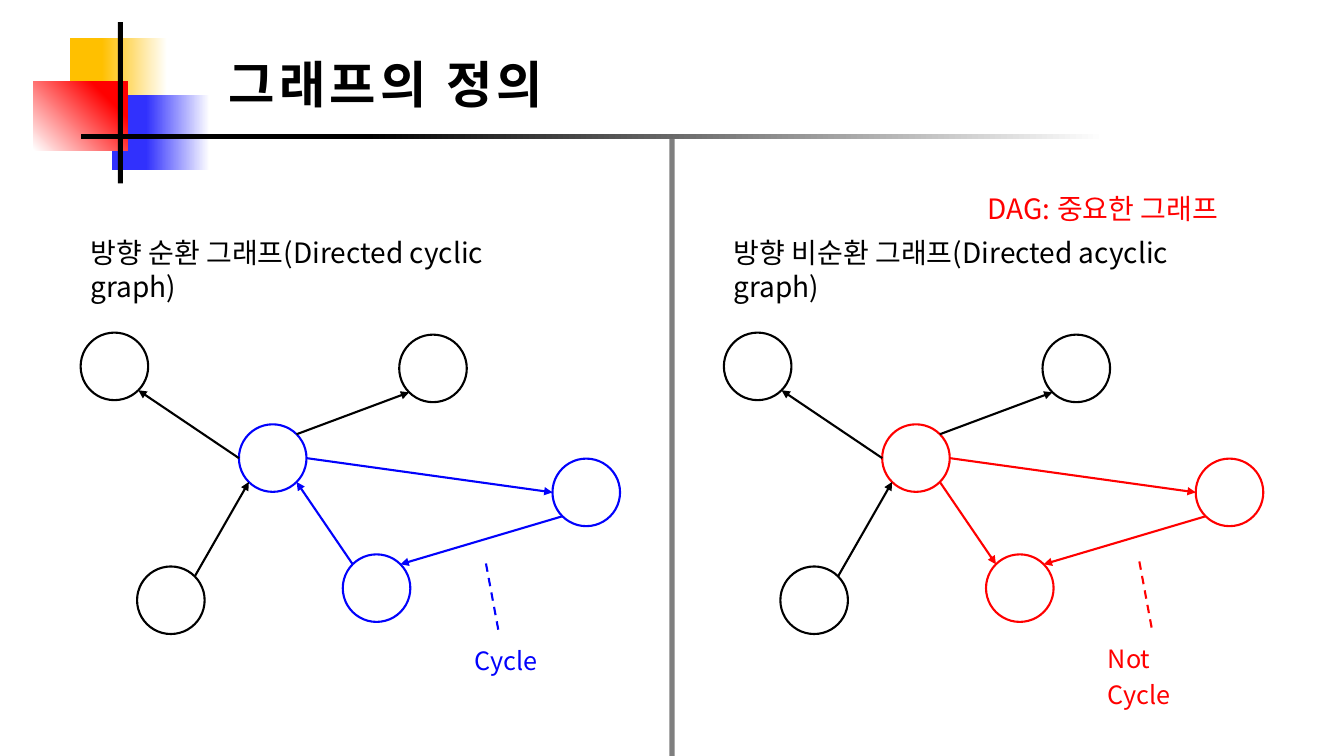
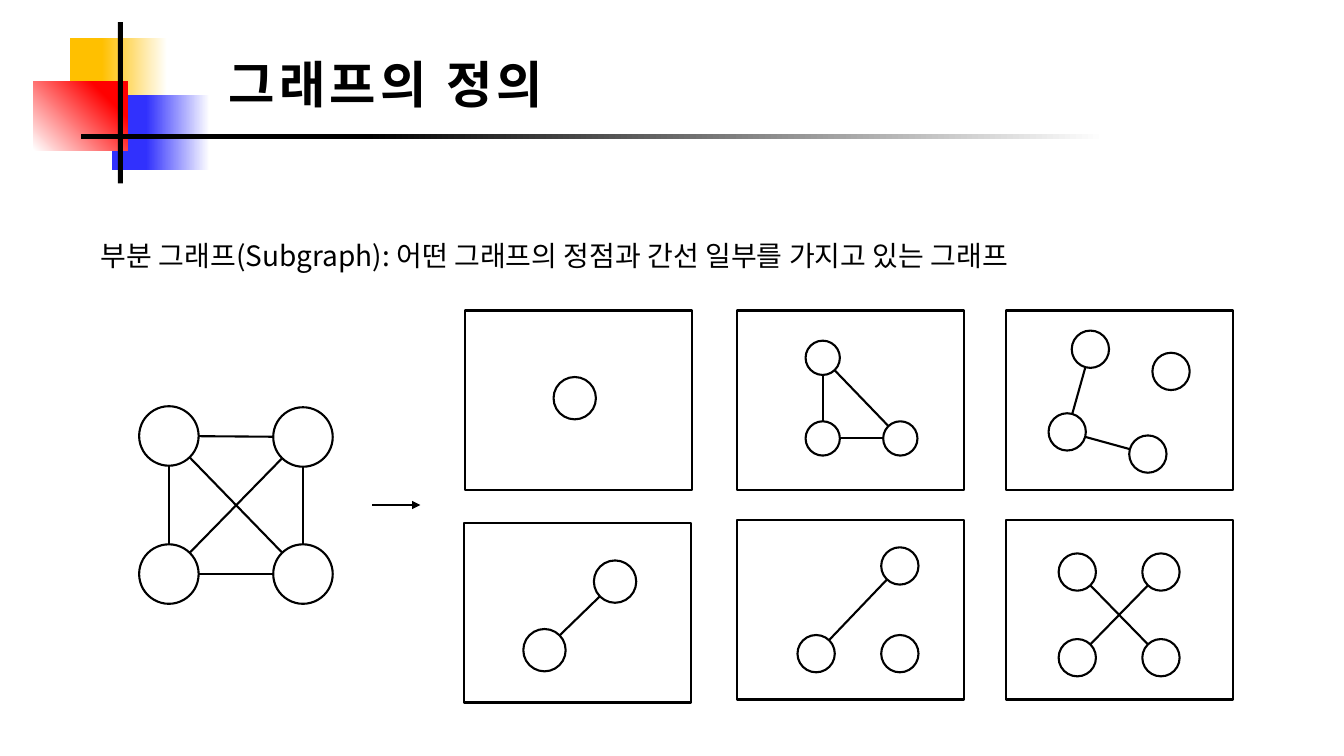
import itertools
import math

import pptx
import pptx.dml.color
import pptx.enum.dml
import pptx.enum.shapes
import pptx.enum.text
import pptx.oxml
import pptx.oxml.ns
import pptx.util

Inches, Pt = pptx.util.Inches, pptx.util.Pt
SHAPE = pptx.enum.shapes.MSO_SHAPE

# Shared style
FONT = "Noto Sans CJK KR"
COLORS = {
    "black": "000000", "white": "FFFFFF", "blue": "0202FC", "red": "FF0000",
    "amber": "FFC000", "indigo": "3131FD",
}
TITLE = "그래프의 정의"
# left, top, width, height, colour, gradient stop in percent, counterclockwise angle
EMBLEM = [
    (0.69, 0.38, 0.97, 0.95, "amber", 67, 180),
    (1.11, 0.94, 0.97, 0.75, "indigo", 65, 180),
    (0.33, 0.81, 0.94, 0.68, "red", 78, 45),
    (1.17, 0.22, 0.05, 1.6, "black", None, None),
    (0.8, 1.33, 10.16, 0.05, "black", 72, 180),
]

# Directed graphs: node offsets, and edges as (start, side, end, side)
DIRECTED_ORIGIN_TOP = 3.3
DIRECTED_DIAMETER = 0.67
DIRECTED_NODES = {
    "north_west": (0, 0), "hub": (1.57, 0.91), "south_west": (0.56, 2.32),
    "south": (2.6, 2.2), "north_east": (3.16, 0.02), "east": (4.68, 1.25),
}
HIGHLIGHTED = {"hub", "south", "east"}
COMMON_EDGES = [
    ("hub", "W", "north_west", "SE"),
    ("south_west", "NE", "hub", "SW"),
    ("hub", "NE", "north_east", "SW"),
    ("hub", "E", "east", "W"),
    ("east", "SW", "south", "NE"),
]
SIDES = {"E": 0, "SE": 45, "SW": 135, "W": 180, "NW": 225, "NE": 315}
DIRECTED_GRAPHS = [
    {"left": 0.8, "heading": "방향 순환 그래프(Directed cyclic graph)", "width": 4.92,
     "color": "blue", "edge": ("south", "NW", "hub", "SE"),
     "pointer": (4.82, 5.59), "label": "Cycle", "label_at": (4.61, 6.29, 0.86)},
    {"left": 7.18, "heading": "방향 비순환 그래프(Directed acyclic graph)", "width": 5.35,
     "color": "red", "edge": ("hub", "SE", "south", "NW"),
     "pointer": (11.3, 5.57), "label": "Not Cycle", "label_at": (10.89, 6.27, 1.17)},
]
DAG_NOTE = "DAG: 중요한 그래프"

# Subgraphs: panel corner, node diameter, node offsets in the panel, edges
SUBGRAPH_TEXT = "부분 그래프(Subgraph): 어떤 그래프의 정점과 간선 일부를 가지고 있는 그래프"
WHOLE_GRAPH = ((1.38, 4.03), 0.59, [(0, 0), (0, 1.37), (1.33, 0.01), (1.33, 1.37)],
               list(itertools.combinations(range(4), 2)))
PANEL_SIZE = (2.25, 1.78)
SUBGRAPHS = [
    ((4.61, 3.08), 0.42, [(0.88, 0.66)], []),
    ((7.31, 3.08), 0.34, [(0.68, 0.3), (0.68, 1.1), (1.45, 1.1)],
     [(0, 1), (1, 2), (0, 2)]),
    ((9.98, 3.08), 0.37, [(0.65, 0.2), (0.42, 1.02), (1.45, 0.42), (1.22, 1.24)],
     [(0, 1), (1, 3)]),
    ((4.6, 5.19), 0.42, [(1.29, 0.37), (0.59, 1.05)], [(0, 1)]),
    ((7.31, 5.16), 0.37, [(0.6, 1.14), (1.43, 0.27), (1.43, 1.14)], [(0, 1)]),
    ((9.98, 5.16), 0.37, [(0.52, 0.33), (0.52, 1.18), (1.35, 0.33), (1.35, 1.18)],
     [(0, 3), (1, 2)]),
]


def rgb(color):
    return pptx.dml.color.RGBColor.from_string(COLORS[color])


def add_text(slide, text, left, top, width, height=0.44, size=20, color="black",
             bold=False, tracking=0, spacing=None):
    box = slide.shapes.add_textbox(*map(Inches, (left, top, width, height)))
    frame = box.text_frame
    frame.word_wrap = True
    frame.auto_size = pptx.enum.text.MSO_AUTO_SIZE.SHAPE_TO_FIT_TEXT
    paragraph = frame.paragraphs[0]
    if spacing:
        paragraph.line_spacing = spacing
    run = paragraph.add_run()
    run.text = text
    run.font.size, run.font.bold, run.font.name = Pt(size), bold, FONT
    run.font.color.rgb = rgb(color)
    properties = run.font._element
    if tracking:
        properties.set("spc", str(tracking * 100))
    east_asian = pptx.oxml.parse_xml(
        f'<a:ea {pptx.oxml.ns.nsdecls("a")} typeface="{FONT}"/>')
    properties.find(pptx.oxml.ns.qn("a:latin")).addnext(east_asian)


def add_shape(slide, kind, left, top, width, height, fill=None, line=None):
    shape = slide.shapes.add_shape(kind, *map(Inches, (left, top, width, height)))
    shape.shadow.inherit = False
    if fill:
        shape.fill.solid()
        shape.fill.fore_color.rgb = rgb(fill)
    else:
        shape.fill.background()
    if line:
        shape.line.color.rgb = rgb(line)
        shape.line.width = Pt(1.5)
    else:
        shape.line.fill.background()
    return shape


def add_line(slide, start, end, color="black", width=1.5, arrow=False, dashed=False):
    line = slide.shapes.add_connector(
        pptx.enum.shapes.MSO_CONNECTOR.STRAIGHT, *map(Inches, (*start, *end)))
    line.line.color.rgb = rgb(color)
    line.line.width = Pt(width)
    if dashed:
        line.line.dash_style = pptx.enum.dml.MSO_LINE.DASH
    namespace = pptx.oxml.ns.nsdecls("a")
    properties = line._element.spPr
    if arrow:
        properties.find(pptx.oxml.ns.qn("a:ln")).append(
            pptx.oxml.parse_xml(f'<a:tailEnd {namespace} type="triangle"/>'))
    properties.append(pptx.oxml.parse_xml(f"<a:effectLst {namespace}/>"))


def add_node(slide, left, top, diameter, color="black"):
    """Draw a circle and return its centre."""
    add_shape(slide, SHAPE.OVAL, left, top, diameter, diameter, "white", color)
    return left + diameter / 2, top + diameter / 2


def rim(centre, diameter, angle):
    """Point on a circle, the angle running clockwise from east."""
    return (centre[0] + diameter / 2 * math.cos(angle),
            centre[1] + diameter / 2 * math.sin(angle))


def new_slide(deck):
    slide = deck.slides.add_slide(deck.slide_layouts[6])
    add_text(slide, TITLE, 2.17, 0.48, 7.32, 0.71, size=36, bold=True, tracking=3)
    for left, top, width, height, color, stop, angle in EMBLEM:
        part = add_shape(slide, SHAPE.RECTANGLE, left, top, width, height, color)
        if stop:
            part.fill.gradient()
            part.fill.gradient_angle = angle
            pale, full = part.fill.gradient_stops
            pale.color.rgb, pale.position = rgb("white"), 0
            full.color.rgb, full.position = rgb(color), stop / 100
    return slide


def add_directed_graph(slide, graph):
    color = graph["color"]
    add_text(slide, graph["heading"], graph["left"], 2.29, graph["width"])
    centres = {
        name: add_node(slide, graph["left"] + x, DIRECTED_ORIGIN_TOP + y,
                       DIRECTED_DIAMETER, color if name in HIGHLIGHTED else "black")
        for name, (x, y) in DIRECTED_NODES.items()
    }
    for start, start_side, end, end_side in COMMON_EDGES + [graph["edge"]]:
        ends = [rim(centres[name], DIRECTED_DIAMETER, math.radians(SIDES[side]))
                for name, side in ((start, start_side), (end, end_side))]
        edge_color = color if {start, end} <= HIGHLIGHTED else "black"
        add_line(slide, *ends, edge_color, arrow=True)
    x, y = graph["pointer"]
    add_line(slide, (x, y), (x + 0.13, y + 0.7), color, dashed=True)
    add_text(slide, graph["label"], *graph["label_at"], size=18, color=color, spacing=1.2)


def add_plain_graph(slide, origin, diameter, offsets, edges):
    centres = [add_node(slide, origin[0] + x, origin[1] + y, diameter)
               for x, y in offsets]
    for first, second in edges:
        (x1, y1), (x2, y2) = centres[first], centres[second]
        angle = math.atan2(y2 - y1, x2 - x1)
        add_line(slide, rim(centres[first], diameter, angle),
                 rim(centres[second], diameter, angle + math.pi))


def build_directed_slide(deck):
    slide = new_slide(deck)
    # Half-transparent divider
    divider = add_shape(slide, SHAPE.RECTANGLE, 6.64, 1.38, 0.05, 6.12, "black")
    tint = divider._element.spPr.find(".//" + pptx.oxml.ns.qn("a:srgbClr"))
    tint.append(pptx.oxml.parse_xml(
        f'<a:alpha {pptx.oxml.ns.nsdecls("a")} val="50000"/>'))
    for graph in DIRECTED_GRAPHS:
        add_directed_graph(slide, graph)
    add_text(slide, DAG_NOTE, 9.7, 1.85, 2.64, color="red")


def build_subgraph_slide(deck):
    slide = new_slide(deck)
    add_text(slide, SUBGRAPH_TEXT, 0.9, 2.32, 9.88)
    add_plain_graph(slide, *WHOLE_GRAPH)
    add_line(slide, (3.69, 5.01), (4.17, 5.01), width=1, arrow=True)
    for subgraph in SUBGRAPHS:
        add_shape(slide, SHAPE.RECTANGLE, *subgraph[0], *PANEL_SIZE, line="black")
        add_plain_graph(slide, *subgraph)


def main():
    deck = pptx.Presentation()
    deck.slide_width, deck.slide_height = Inches(13.33), Inches(7.5)
    build_directed_slide(deck)
    build_subgraph_slide(deck)
    deck.save("out.pptx")


if __name__ == "__main__":
    main()
